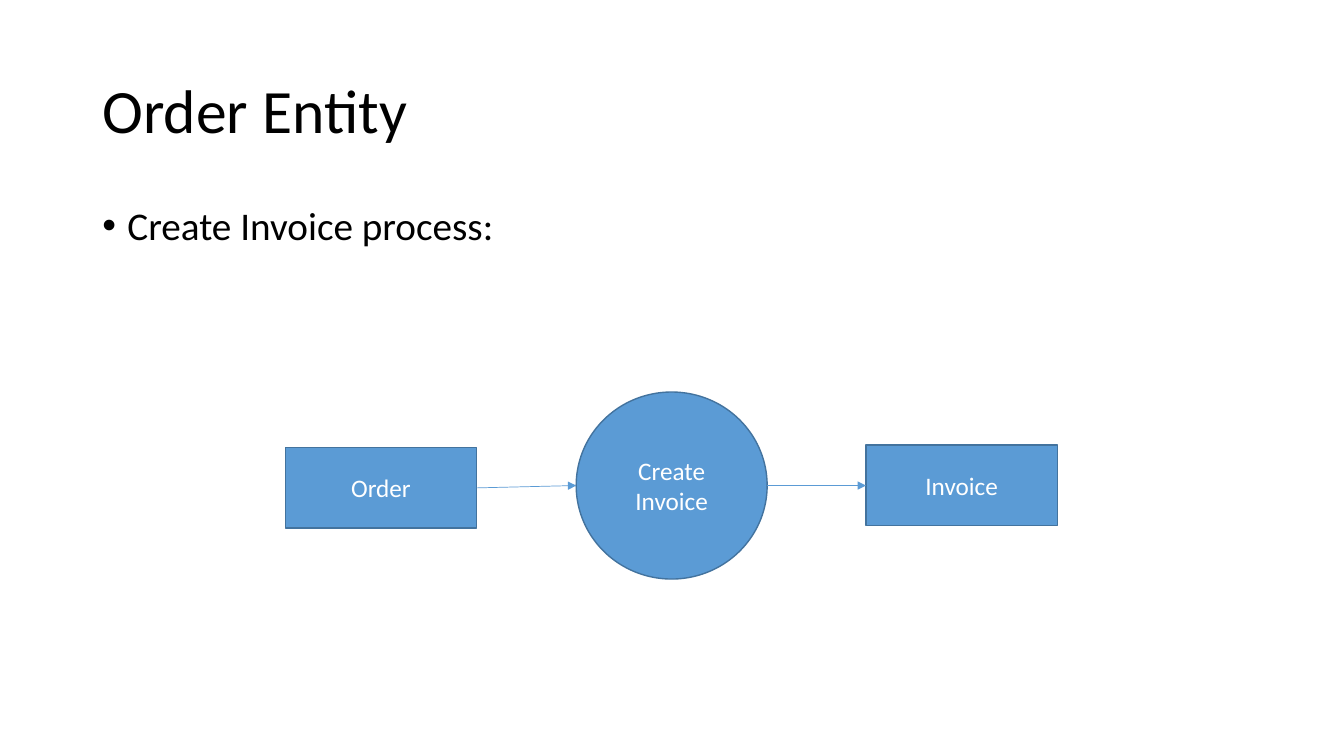
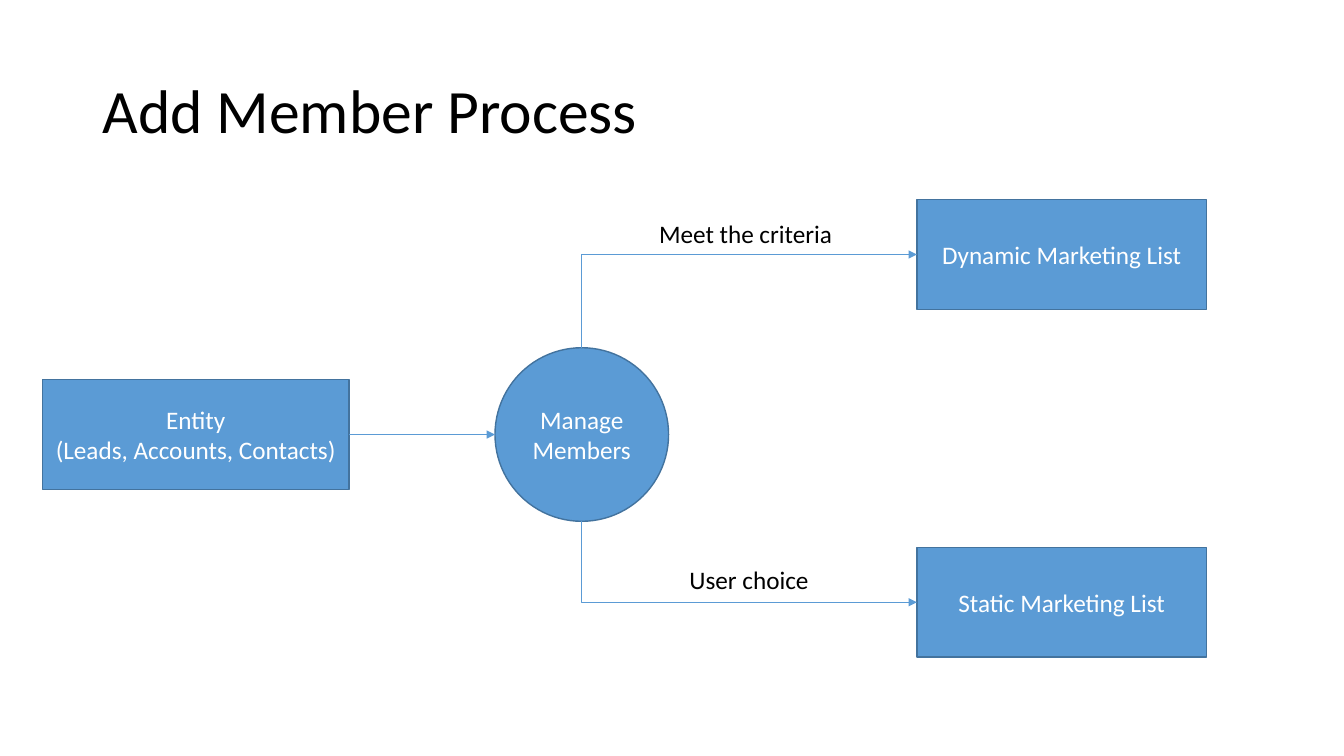
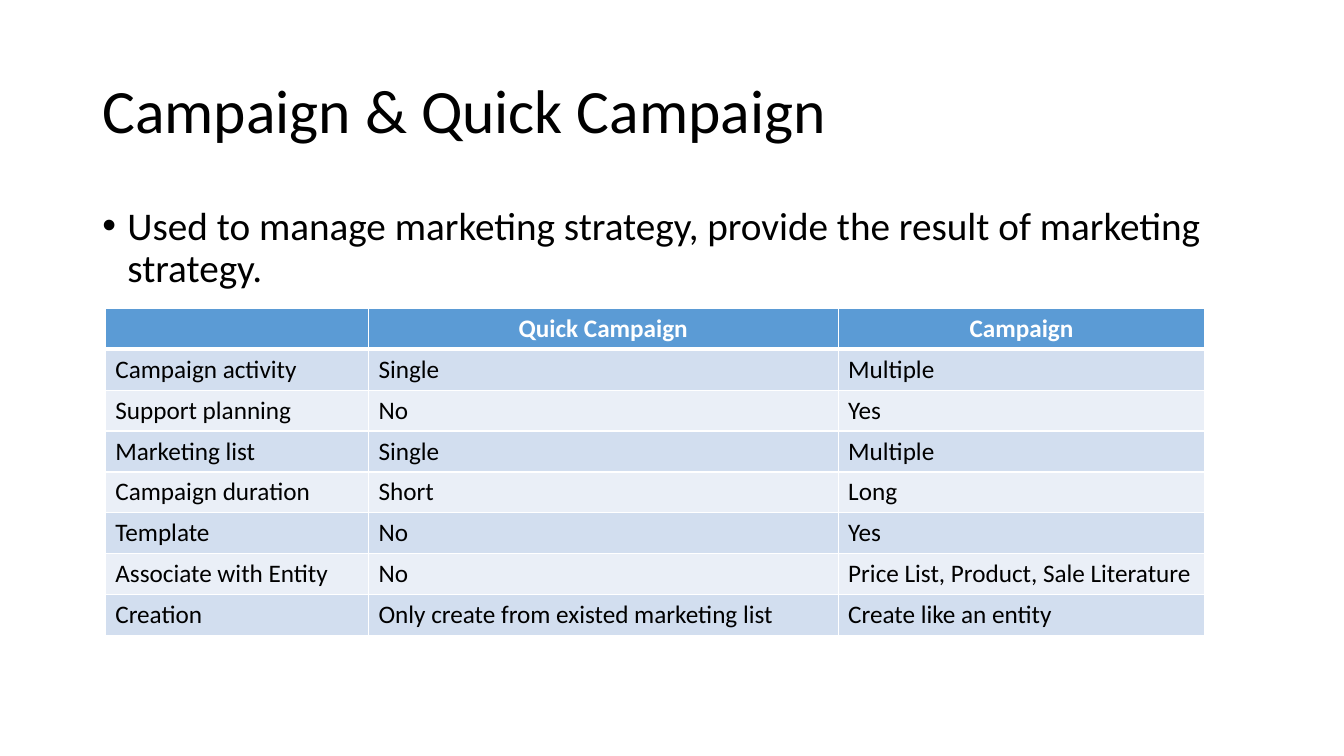
from dataclasses import dataclass

from lxml import etree
from pptx import Presentation
from pptx import util as u
from pptx.dml.color import RGBColor
from pptx.enum import shapes, text
from pptx.oxml.ns import qn

Pt = u.Pt
FONT = "Calibri"
COLORS = {
    "ink": "000000",
    "paper": "FFFFFF",
    "accent": "5B9BD5",
    "outline": "43739E",
    "band_dark": "D2DEEF",
    "band_light": "EAEFF7",
}
TOP, LEFT, BOTTOM, RIGHT = range(4)
RECT = shapes.MSO_SHAPE.RECTANGLE
OVAL = shapes.MSO_SHAPE.OVAL
ALIGN = text.PP_ALIGN
MARGIN, CONTENT_WIDTH = 66, 828
LIST_LEFT, LIST_WIDTH, BOX_HEIGHT = 655, 206.8, 78.4


@dataclass(frozen=True)
class Node:
    label: str
    left: float
    top: float
    width: float
    height: float
    kind: shapes.MSO_SHAPE = RECT


@dataclass(frozen=True)
class Flow:
    source: str
    target: str
    exit_side: int = RIGHT
    elbow: bool = False


@dataclass(frozen=True)
class FlowLabel:
    wording: str
    top: float
    align: text.PP_ALIGN


ORDER_NODES = [
    Node("Order", 203.8, 319.7, 136.6, 57.6),
    Node("Create Invoice", 411.6, 280, 136.4, 133.6, OVAL),
    Node("Invoice", 618.6, 318, 136.6, 57.6),
]
ORDER_FLOWS = [Flow("Order", "Create Invoice"), Flow("Create Invoice", "Invoice")]

ENTITY = "Entity\n(Leads, Accounts, Contacts)"
MEMBER_NODES = [
    Node("Static Marketing List", LIST_LEFT, 391, LIST_WIDTH, BOX_HEIGHT),
    Node("Dynamic Marketing List", LIST_LEFT, 142.6, LIST_WIDTH, BOX_HEIGHT),
    Node("Manage Members", 353.6, 248.4, 124, 124, OVAL),
    Node(ENTITY, 30.2, 271.2, 219.2, BOX_HEIGHT),
]
MEMBER_FLOWS = [
    Flow(ENTITY, "Manage Members"),
    Flow("Manage Members", "Dynamic Marketing List", TOP, elbow=True),
    Flow("Manage Members", "Static Marketing List", BOTTOM, elbow=True),
]
MEMBER_LABELS = [
    FlowLabel("Meet the criteria", 152.6, ALIGN.LEFT),
    FlowLabel("User choice", 399.6, ALIGN.CENTER),
]

COLUMN_WIDTHS = [188, 335.5, 262.1]
ROW_HEIGHT = 29.2
CAMPAIGN_ROWS = [
    ("", "Quick Campaign", "Campaign"),
    ("Campaign activity", "Single", "Multiple"),
    ("Support planning", "No", "Yes"),
    ("Marketing list", "Single", "Multiple"),
    ("Campaign duration", "Short", "Long"),
    ("Template", "No", "Yes"),
    ("Associate with Entity", "No", "Price List, Product, Sale Literature"),
    ("Creation", "Only create from existed marketing list", "Create like an entity"),
]


def rgb(name: str) -> RGBColor:
    return RGBColor.from_string(COLORS[name])


def write(frame, wording: str, size: float = 18, color: str = "ink",
          align: text.PP_ALIGN = ALIGN.LEFT, bold: bool = False) -> None:
    frame.text = wording
    frame.word_wrap = True
    for paragraph in frame.paragraphs:
        paragraph.alignment = align
        font = paragraph.font
        font.name, font.size, font.bold = FONT, Pt(size), bold
        font.color.rgb = rgb(color)


def add_titled_slide(deck, heading: str):
    slide = deck.slides.add_slide(deck.slide_layouts[5])
    title = slide.shapes.title
    title.left, title.top = Pt(MARGIN), Pt(28.8)
    title.width, title.height = Pt(CONTENT_WIDTH), Pt(104.4)
    write(title.text_frame, heading, 44)
    title.text_frame.auto_size = text.MSO_AUTO_SIZE.NONE
    title.text_frame.vertical_anchor = text.MSO_ANCHOR.MIDDLE
    title.text_frame.paragraphs[0].line_spacing = 0.9
    return slide


def add_bullet(slide, wording: str) -> None:
    body = slide.shapes.add_textbox(Pt(MARGIN), Pt(143.75), Pt(CONTENT_WIDTH), Pt(342.6))
    write(body.text_frame, wording, 28)
    paragraph = body.text_frame.paragraphs[0]
    paragraph.line_spacing = 0.9
    paragraph.space_before = Pt(10)
    props = paragraph._p.get_or_add_pPr()
    props.set("marL", str(Pt(18)))
    props.set("indent", str(Pt(-18)))
    run_defaults = props.find(qn("a:defRPr"))
    for tag, key, value in (("a:buFont", "typeface", "Arial"), ("a:buChar", "char", "•")):
        mark = etree.Element(qn(tag))
        mark.set(key, value)
        run_defaults.addprevious(mark)


def add_node(slide, node: Node):
    box = slide.shapes.add_shape(
        node.kind, Pt(node.left), Pt(node.top), Pt(node.width), Pt(node.height))
    box.shadow.inherit = False
    box.fill.solid()
    box.fill.fore_color.rgb = rgb("accent")
    box.line.color.rgb = rgb("outline")
    box.line.width = Pt(1)
    write(box.text_frame, node.label, color="paper", align=ALIGN.CENTER)
    box.text_frame.vertical_anchor = text.MSO_ANCHOR.MIDDLE
    return box


def add_flow(slide, flow: Flow, boxes: dict) -> None:
    """Elbows run from target back to source, so they need no rotation."""
    kind = shapes.MSO_CONNECTOR.ELBOW if flow.elbow else shapes.MSO_CONNECTOR.STRAIGHT
    arrow = slide.shapes.add_connector(kind, 0, 0, 0, 0)
    ends = [(boxes[flow.source], flow.exit_side), (boxes[flow.target], LEFT)]
    if flow.elbow:
        ends.reverse()
    arrow.begin_connect(*ends[0])
    arrow.end_connect(*ends[1])
    for (box, side), tag in zip(ends, ("a:stCxn", "a:endCxn")):
        if box.auto_shape_type == OVAL:  # an oval has eight sites, two per side
            next(arrow._element.iter(qn(tag))).set("idx", str(side * 2))
    arrow.line.color.rgb = rgb("accent")
    arrow.line.width = Pt(0.5)
    props = arrow._element.spPr
    if flow.elbow:
        props.find(qn("a:prstGeom")).set("prst", "bentConnector2")
    tip = "a:headEnd" if flow.elbow else "a:tailEnd"
    etree.SubElement(props.find(qn("a:ln")), qn(tip)).set("type", "triangle")
    etree.SubElement(props, qn("a:effectLst"))


def add_diagram(slide, nodes: list[Node], flows: list[Flow]) -> None:
    boxes = {node.label: add_node(slide, node) for node in nodes}
    for flow in flows:
        add_flow(slide, flow, boxes)


def add_flow_label(slide, label: FlowLabel) -> None:
    caption = slide.shapes.add_textbox(Pt(463.7), Pt(label.top), Pt(142.6), Pt(29))
    write(caption.text_frame, label.wording, align=label.align)


def set_borders(cell, top: float, bottom: float) -> None:
    props = cell._tc.get_or_add_tcPr()
    widths = {"a:lnL": 1, "a:lnR": 1, "a:lnT": top, "a:lnB": bottom}
    for position, (tag, width) in enumerate(widths.items()):
        border = etree.Element(qn(tag))
        border.set("w", str(Pt(width)))
        fill = etree.SubElement(border, qn("a:solidFill"))
        etree.SubElement(fill, qn("a:srgbClr")).set("val", COLORS["paper"])
        props.insert(position, border)


def add_campaign_table(slide) -> None:
    row_count = len(CAMPAIGN_ROWS)
    table = slide.shapes.add_table(
        row_count, len(COLUMN_WIDTHS), Pt(75.2), Pt(220.3),
        Pt(sum(COLUMN_WIDTHS)), Pt(ROW_HEIGHT * row_count)).table
    table.horz_banding = False
    for column, width in zip(table.columns, COLUMN_WIDTHS):
        column.width = Pt(width)
    for index, wordings in enumerate(CAMPAIGN_ROWS):
        table.rows[index].height = Pt(ROW_HEIGHT)
        header = index == 0
        band = "accent" if header else "band_dark" if index % 2 else "band_light"
        for cell, wording in zip(table.rows[index].cells, wordings):
            write(cell.text_frame, wording, color="paper" if header else "ink",
                  align=ALIGN.CENTER if header else ALIGN.LEFT, bold=header)
            cell.fill.solid()
            cell.fill.fore_color.rgb = rgb(band)
            set_borders(cell, top=3 if index == 1 else 1, bottom=3 if header else 1)


def main() -> None:
    deck = Presentation()
    deck.slide_width, deck.slide_height = Pt(960), Pt(540)

    order = add_titled_slide(deck, "Order Entity")
    add_bullet(order, "Create Invoice process:")
    add_diagram(order, ORDER_NODES, ORDER_FLOWS)

    member = add_titled_slide(deck, "Add Member Process")
    add_diagram(member, MEMBER_NODES, MEMBER_FLOWS)
    for label in MEMBER_LABELS:
        add_flow_label(member, label)

    campaign = add_titled_slide(deck, "Campaign & Quick Campaign")
    add_bullet(campaign, "Used to manage marketing strategy, "
                         "provide the result of marketing strategy.")
    add_campaign_table(campaign)

    deck.save("out.pptx")


if __name__ == "__main__":
    main()
